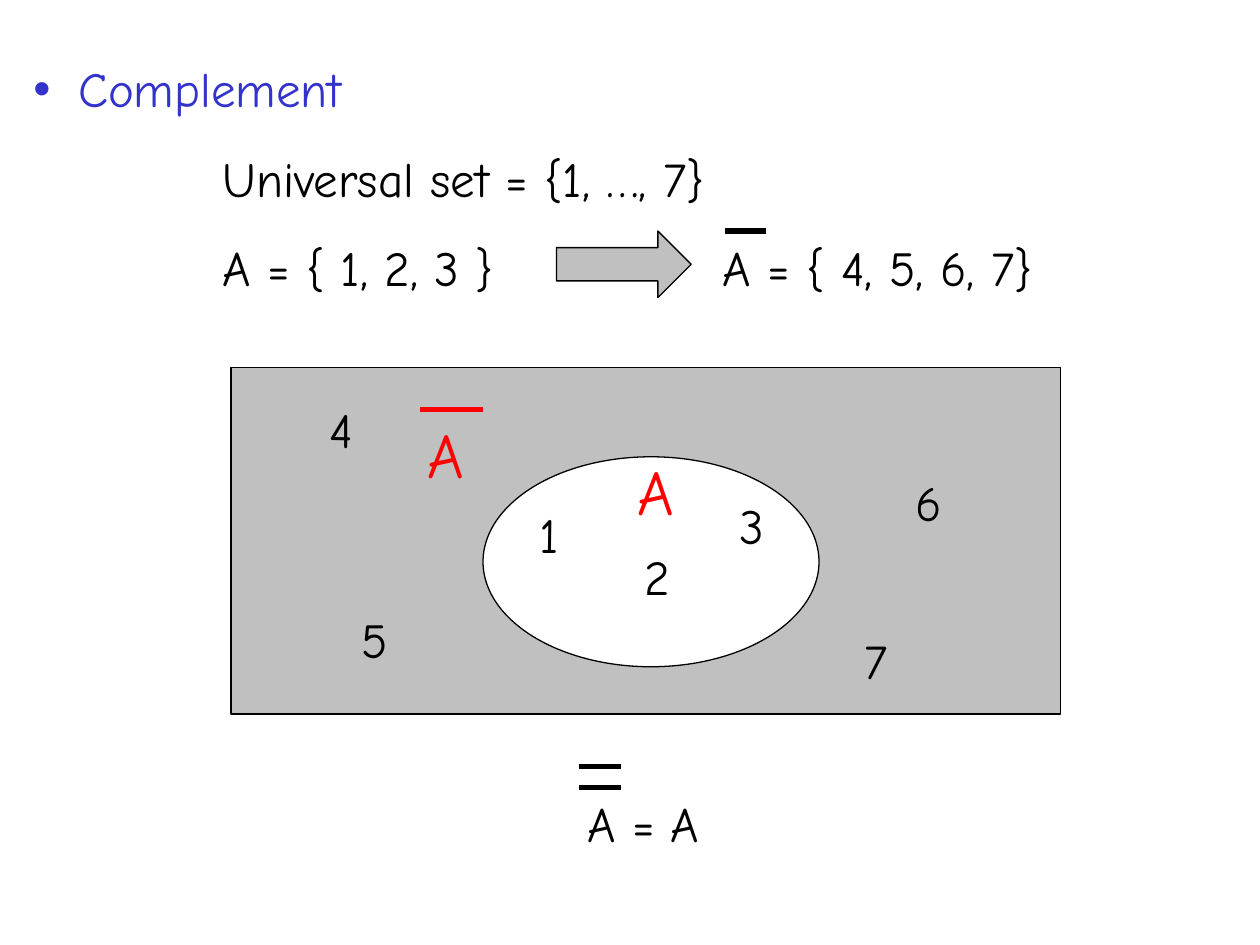
from lxml import etree
from pptx import Presentation
from pptx import util as u
from pptx.dml.color import RGBColor
from pptx.enum import shapes, text
from pptx.oxml.ns import qn

BLACK = RGBColor(0x00, 0x00, 0x00)
WHITE = RGBColor(0xFF, 0xFF, 0xFF)
GRAY = RGBColor(0xC0, 0xC0, 0xC0)
RED = RGBColor(0xFF, 0x00, 0x00)
BLUE = RGBColor(0x33, 0x33, 0xCC)


class SetSlide:
    """Holds the style and the slide being drawn."""
    font_name = "Comic Neue"
    body_size = 28
    label_size = 36

    def __init__(self, slide):
        self.slide = slide

    def shape(self, kind, left, top, width, height, fill):
        shape = self.slide.shapes.add_shape(
            kind, u.Pt(left), u.Pt(top), u.Pt(width), u.Pt(height))
        shape.shadow.inherit = False
        shape.fill.solid()
        shape.fill.fore_color.rgb = fill
        shape.line.color.rgb = BLACK
        shape.line.width = u.Pt(0.75)

    def bar(self, left, top, width, color=BLACK):
        """Draw the overline of a complement."""
        line = self.slide.shapes.add_connector(
            shapes.MSO_CONNECTOR.STRAIGHT,
            u.Pt(left), u.Pt(top), u.Pt(left + width), u.Pt(top))
        line.line.color.rgb = color
        line.line.width = u.Pt(3)
        etree.SubElement(line._element.spPr, qn("a:effectLst"))

    def box(self, left, top, width, height, **frame_format):
        shape = self.slide.shapes.add_textbox(
            u.Pt(left), u.Pt(top), u.Pt(width), u.Pt(height))
        for name, value in frame_format.items():
            setattr(shape.text_frame, name, value)
        return shape.text_frame

    def fill_paragraph(self, paragraph, words, color=BLACK, size=body_size,
                       **paragraph_format):
        paragraph.text = words
        for name, value in paragraph_format.items():
            setattr(paragraph, name, value)
        font_format = {"name": self.font_name, "size": u.Pt(size)}
        for name, value in font_format.items():
            setattr(paragraph.font, name, value)
        paragraph.font.color.rgb = color

    def label(self, words, left, top, width=28):
        frame = self.box(left, top, width, 41, word_wrap=False)
        self.fill_paragraph(frame.paragraphs[0], words)

    def set_name(self, words, left, top):
        frame = self.box(left, top, 35, 50, word_wrap=False,
                         vertical_anchor=text.MSO_ANCHOR.MIDDLE)
        self.fill_paragraph(frame.paragraphs[0], words, RED, self.label_size,
                            alignment=text.PP_ALIGN.CENTER)

    def bullet(self, paragraph, color, hang):
        properties = paragraph._p.get_or_add_pPr()
        properties.set("marL", str(u.Pt(hang)))
        properties.set("indent", str(-u.Pt(hang)))
        bullet_color = etree.SubElement(properties, qn("a:buClr"))
        etree.SubElement(bullet_color, qn("a:srgbClr"), val=str(color))
        etree.SubElement(properties, qn("a:buFont"), typeface="Arial")
        etree.SubElement(properties, qn("a:buChar"), char="•")

    def tabs(self, paragraph, stops):
        tab_list = etree.SubElement(paragraph._p.get_or_add_pPr(), qn("a:tabLst"))
        for stop in stops:
            etree.SubElement(tab_list, qn("a:tab"), pos=str(u.Pt(stop)), algn="l")


def main():
    presentation = Presentation()
    presentation.slide_width, presentation.slide_height = u.Pt(720), u.Pt(540)
    page = SetSlide(presentation.slides.add_slide(presentation.slide_layouts[6]))

    # Universal set
    page.shape(shapes.MSO_SHAPE.RECTANGLE, 132, 210, 474, 198, GRAY)

    # Heading and definitions
    frame = page.box(12, 30, 696, 143, word_wrap=True)
    heading = frame.paragraphs[0]
    page.bullet(heading, BLUE, 25.5)
    page.fill_paragraph(heading, "Complement", BLUE)
    for words in ("\tUniversal set = {1, …, 7}",
                  "\tA = { 1, 2, 3 }\tA = { 4, 5, 6, 7}"):
        paragraph = frame.add_paragraph()
        page.tabs(paragraph, (108, 394))
        page.fill_paragraph(paragraph, words, space_before=u.Pt(17.5))
    page.bar(414, 132, 24)
    page.shape(shapes.MSO_SHAPE.RIGHT_ARROW, 318, 132, 77, 38, GRAY)

    # Set A and its complement
    page.shape(shapes.MSO_SHAPE.OVAL, 276, 261, 192, 120, WHITE)
    page.set_name("A", 237, 234)
    page.bar(240, 234, 36, RED)
    page.set_name("A", 357, 255)

    # Elements
    for number, left, top in (("1", 301, 285), ("2", 361.5, 309), ("3", 415.5, 279.5),
                              ("4", 181, 224.5), ("5", 199.5, 345),
                              ("6", 516, 266.5), ("7", 487, 356.5)):
        page.label(number, left, top)

    # Double complement
    page.label("A = A", 328.5, 450, 78.5)
    for top in (438, 450):
        page.bar(331, top, 24)

    presentation.save("out.pptx")


if __name__ == "__main__":
    main()
